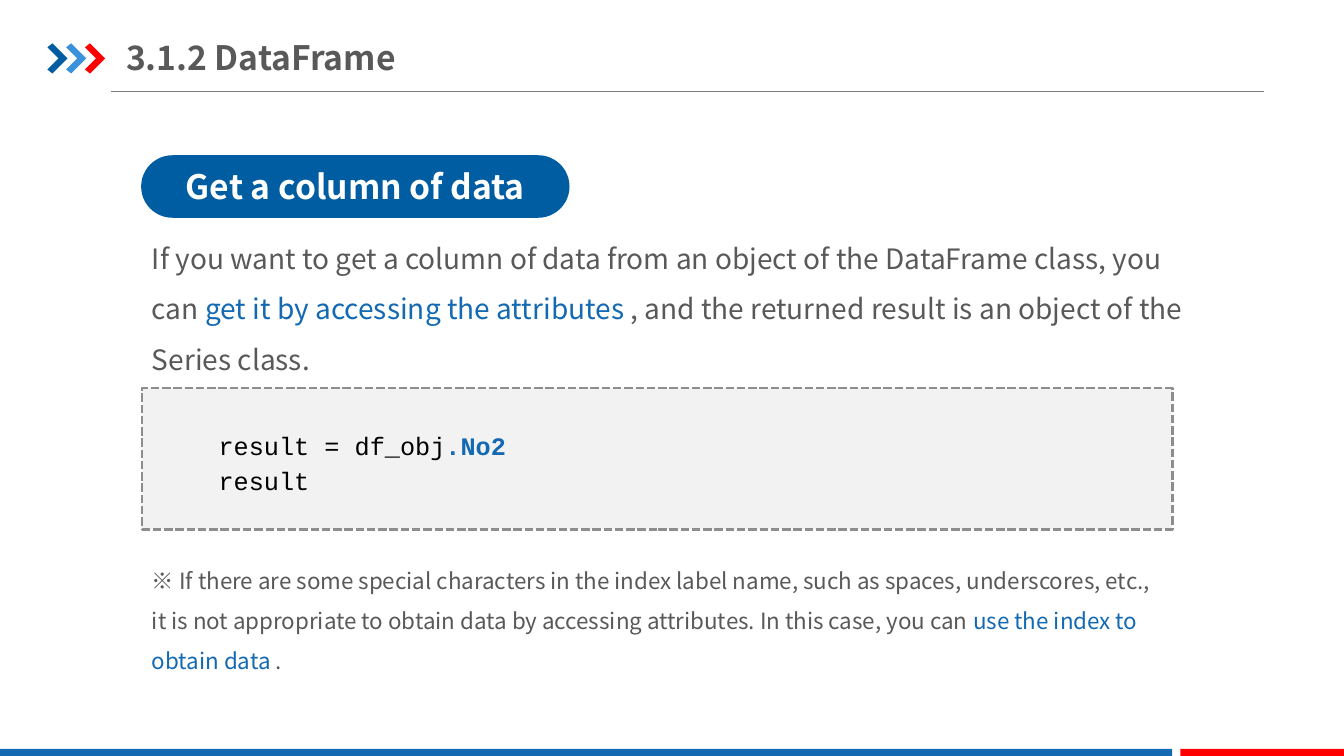
from dataclasses import dataclass

from pptx import Presentation
from pptx.dml.color import RGBColor
from pptx.enum.dml import MSO_LINE_DASH_STYLE as Dash
from pptx.enum.shapes import MSO_CONNECTOR as Connector, MSO_SHAPE as Shape
from pptx.enum.text import MSO_ANCHOR as Anchor, MSO_AUTO_SIZE as AutoSize, PP_ALIGN as Align
from pptx.oxml.ns import qn
from pptx.util import Inches, Pt

COLUMNS, ROWS = 40, 30


@dataclass(frozen=True)
class Theme:
    font: str = "Noto Sans CJK SC"
    code_font: str = "Courier New"
    gray: str = "595959"
    blue: str = "1369B2"
    navy: str = "005DA2"
    sky: str = "3992DB"
    red: str = "FF0000"
    white: str = "FFFFFF"
    black: str = "000000"
    rule: str = "808080"
    panel: str = "F2F2F2"
    panel_edge: str = "8D8D8D"
    heading_size: int = 24
    body_size: int = 20
    code_size: int = 18
    note_size: int = 16


def add_text(paragraph, text, *, font, size, color, bold=False):
    run = paragraph.add_run()
    run.text = text
    run.font.name = font
    run.font.size = Pt(size)
    run.font.bold = bold
    run.font.color.rgb = RGBColor.from_string(color)
    # East Asian symbols use the same typeface
    latin = run.font._element.find(qn("a:latin"))
    east_asian = latin.makeelement(qn("a:ea"), {"typeface": font})
    latin.addnext(east_asian)


class SlideBuilder:
    """Places styled elements on a grid of columns and rows."""

    def __init__(self, presentation, theme):
        self.theme = theme
        self.column = presentation.slide_width / COLUMNS
        self.row = presentation.slide_height / ROWS
        self.slide = presentation.slides.add_slide(presentation.slide_layouts[5])
        self.shapes = self.slide.shapes

    def place(self, x, y):
        return round(x * self.column), round(y * self.row)

    def box(self, left, top, width, height):
        return *self.place(left, top), *self.place(width, height)

    def paint(self, shape, fill):
        shape.shadow.inherit = False
        shape.fill.solid()
        shape.fill.fore_color.rgb = RGBColor.from_string(fill)
        shape.line.fill.background()

    def title(self, text, *grid):
        title = self.shapes.title
        title.left, title.top, title.width, title.height = self.box(*grid)
        frame = title.text_frame
        frame.margin_left = frame.margin_right = 0
        frame.margin_top = frame.margin_bottom = Inches(0.07)
        frame.auto_size = AutoSize.NONE
        frame.vertical_anchor = Anchor.MIDDLE
        frame.word_wrap = True
        paragraph = frame.paragraphs[0]
        paragraph.alignment = Align.LEFT
        add_text(paragraph, text, font=self.theme.font, size=self.theme.heading_size,
                 color=self.theme.gray, bold=True)

    def rule(self, left, right, y):
        line = self.shapes.add_connector(
            Connector.STRAIGHT, *self.place(left, y), *self.place(right, y))
        line.line.color.rgb = RGBColor.from_string(self.theme.rule)
        line.line.width = Pt(0.75)
        properties = line._element.spPr
        properties.append(properties.makeelement(qn("a:effectLst"), {}))

    def chevron(self, left, top, fill):
        outline = [(0, 0.16), (0.15, 0), (0.6, 0.6), (0.15, 1.2), (0, 1.04), (0.33, 0.6)]
        points = [self.place(left + x, top + y) for x, y in outline]
        builder = self.shapes.build_freeform(*points[0])
        builder.add_line_segments(points[1:], close=True)
        self.paint(builder.convert_to_shape(), fill)

    def block(self, fill, *grid, kind=Shape.RECTANGLE):
        shape = self.shapes.add_shape(kind, *self.box(*grid))
        self.paint(shape, fill)
        return shape

    def pill(self, text, *grid):
        shape = self.block(self.theme.navy, *grid, kind=Shape.ROUNDED_RECTANGLE)
        shape.adjustments[0] = 0.5
        shape.text_frame.vertical_anchor = Anchor.MIDDLE
        paragraph = shape.text_frame.paragraphs[0]
        paragraph.alignment = Align.CENTER
        add_text(paragraph, text, font=self.theme.font, size=self.theme.heading_size,
                 color=self.theme.white, bold=True)

    def panel(self, *grid):
        shape = self.block(self.theme.panel, *grid)
        shape.line.color.rgb = RGBColor.from_string(self.theme.panel_edge)
        shape.line.width = Pt(2)
        shape.line.dash_style = Dash.SQUARE_DOT

    def text(self, lines, *grid, spacing=1.5, indent=0, **style):
        """Each line is a list of (text, format overrides) pairs."""
        frame = self.shapes.add_textbox(*self.box(*grid)).text_frame
        frame.word_wrap = True
        frame.auto_size = AutoSize.SHAPE_TO_FIT_TEXT
        for number, runs in enumerate(lines):
            paragraph = frame.add_paragraph() if number else frame.paragraphs[0]
            paragraph.line_spacing = spacing
            if indent:
                properties = paragraph._p.get_or_add_pPr()
                properties.set("marL", "0")
                properties.set("indent", str(Inches(indent)))
            for text, changes in runs:
                add_text(paragraph, text, **{**style, **changes})


def main():
    presentation = Presentation()
    presentation.slide_width, presentation.slide_height = Inches(13.333), Inches(7.5)
    theme = Theme()
    page = SlideBuilder(presentation, theme)
    highlight = {"color": theme.blue}

    # Header
    page.rule(3.3, 37.62, 3.64)
    for position, color in enumerate((theme.navy, theme.sky, theme.red)):
        page.chevron(1.41 + 0.56 * position, 1.72, color)
    page.title("3.1.2 DataFrame", 3.75, 1.16, 13.65, 2.2)

    # Footer bars
    page.block(theme.blue, 0, 29.72, 34.89, 0.28)
    page.block(theme.red, 35.13, 29.72, 4.87, 0.28)

    # Topic and explanation
    page.pill("Get a column of data", 4.2, 6.16, 12.75, 2.48)
    page.text(
        [[("If you want to get a column of data from an object of the DataFrame class, you can ", {}),
          ("get it by accessing the attributes ", highlight),
          (", and the returned result is an object of the Series class.", {})]],
        4.23, 8.72, 31.35, 4.44, font=theme.font, size=theme.body_size, color=theme.gray)

    # Code example
    page.panel(4.23, 15.4, 30.66, 5.6)
    page.text(
        [[("result = df_obj", {}), (".No2", {**highlight, "bold": True})],
         [("result", {})]],
        5.34, 16.72, 28.2, 3.2, spacing=1.15, indent=0.29,
        font=theme.code_font, size=theme.code_size, color=theme.black)

    # Note
    page.text(
        [[("※ If there are some special characters in the index label name, such as spaces, "
           "underscores, etc., it is not appropriate to obtain data by accessing attributes. "
           "In this case, you can ", {}),
          ("use the index to obtain data ", highlight),
          (".", {})]],
        4.23, 21.76, 30.66, 3.64, font=theme.font, size=theme.note_size, color=theme.gray)

    presentation.save("out.pptx")


if __name__ == "__main__":
    main()
